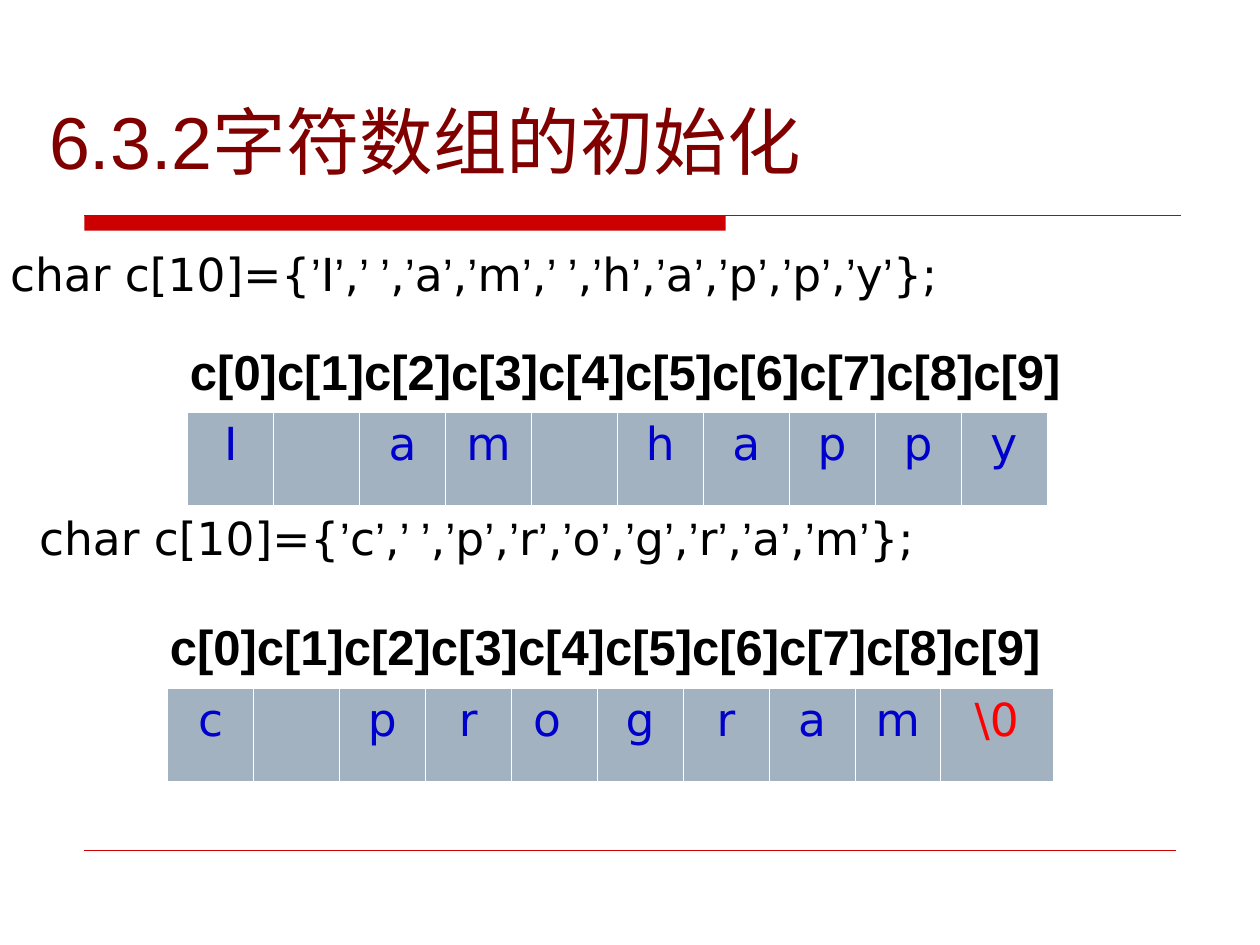
from dataclasses import dataclass
from itertools import groupby

from lxml import etree
from pptx import Presentation
from pptx.dml.color import RGBColor
from pptx.enum.shapes import MSO_CONNECTOR, MSO_SHAPE
from pptx.enum.text import MSO_ANCHOR, MSO_AUTO_SIZE, PP_ALIGN
from pptx.oxml.ns import qn
from pptx.util import Inches, Pt

COLORS = {
    "rule": "CC0000",
    "title": "800000",
    "text": "000000",
    "cell": "A3B2C1",
    "border": "FFFFFF",
    "letter": "0000CC",
    "terminator": "FF0000",
}
LATIN_FONT = "Arial"
CODE_FONT = "DejaVu Sans"
LEFT, CENTER = PP_ALIGN.LEFT, PP_ALIGN.CENTER
TOP, MIDDLE = MSO_ANCHOR.TOP, MSO_ANCHOR.MIDDLE
NO_AUTOFIT = MSO_AUTO_SIZE.NONE
STRAIGHT = MSO_CONNECTOR.STRAIGHT
RECTANGLE = MSO_SHAPE.RECTANGLE
CELL_WIDTH = 0.682
CELL_HEIGHT = 0.75
BORDERS = {"a:lnL": 0.45, "a:lnR": 0.45, "a:lnT": 0.45, "a:lnB": 1.47}
TERMINATOR = "\\0"


@dataclass
class CharacterArray:
    letters: list[str]
    left: float
    top: float
    last_width: float
    heading_left: float
    heading_top: float


@dataclass
class Declaration:
    values: str
    indent: float
    space_before: float


ARRAYS = [
    CharacterArray(["I", "", "a", "m", "", "h", "a", "p", "p", "y"],
                   1.49, 3.27, CELL_WIDTH, 1.41, 2.66),
    CharacterArray(["c", "", "p", "r", "o ", "g", "r", "a", "m", TERMINATOR],
                   1.33, 5.46, 0.89, 1.25, 4.84),
]
DECLARATIONS = [
    Declaration("I am happy", 0, 0),
    Declaration("c program", 0.23, 120),
]


def rgb(name: str) -> RGBColor:
    return RGBColor.from_string(COLORS[name])


def format_run(run, size: float, font: str, color: str, bold: bool = False) -> None:
    run.font.size = Pt(size)
    run.font.name = font
    run.font.color.rgb = rgb(color)
    run.font.bold = bold


def place(shape, left: float, top: float, width: float, height: float) -> None:
    shape.left, shape.top = Inches(left), Inches(top)
    shape.width, shape.height = Inches(width), Inches(height)


def add_rule(slide, left: float, right: float, y: float, weight: float) -> None:
    rule = slide.shapes.add_connector(
        STRAIGHT, Inches(left), Inches(y), Inches(right), Inches(y))
    rule.line.color.rgb = rgb("rule")
    rule.line.width = Pt(weight)
    etree.SubElement(rule._element.spPr, qn("a:effectLst"))


def add_title_bar(slide) -> None:
    bar = slide.shapes.add_shape(
        RECTANGLE, Inches(0.67), Inches(1.71), Inches(5.09), Inches(0.12))
    bar.shadow.inherit = False
    bar.fill.solid()
    bar.fill.fore_color.rgb = rgb("rule")
    bar.line.fill.background()


def fill_title(title) -> None:
    place(title, 0.31, 0.71, 9.45, 0.8)
    frame = title.text_frame
    frame.text = "6.3.2字符数组的初始化"
    frame.auto_size = NO_AUTOFIT
    frame.vertical_anchor = MIDDLE
    frame.margin_left = Inches(0.08)
    paragraph = frame.paragraphs[0]
    paragraph.alignment = LEFT
    format_run(paragraph.runs[0], 42, LATIN_FONT, "title")


def write_declaration(paragraph, declaration: Declaration) -> None:
    paragraph.text = "char c[10]={"
    paragraph.alignment = LEFT
    paragraph.space_before = Pt(declaration.space_before)
    properties = paragraph._p.get_or_add_pPr()
    properties.set("marL", str(Inches(declaration.indent)))
    properties.set("indent", "0")
    etree.SubElement(properties, qn("a:buNone"))
    values = ",".join(f"’{letter}’" for letter in declaration.values)
    for _, characters in groupby(values + "};", lambda character: character in "’ "):
        paragraph.add_run().text = "".join(characters)
    for run in paragraph.runs:
        font = LATIN_FONT if run.text.startswith("’") else CODE_FONT
        format_run(run, 26, font, "text")


def fill_body(body) -> None:
    place(body, 0, 1.87, 10, 3.05)
    frame = body.text_frame
    frame.auto_size = NO_AUTOFIT
    frame.vertical_anchor = TOP
    frame.margin_left = frame.margin_top = Inches(0.08)
    for index, declaration in enumerate(DECLARATIONS):
        paragraph = frame.add_paragraph() if index else frame.paragraphs[0]
        write_declaration(paragraph, declaration)


def add_heading(slide, array: CharacterArray) -> None:
    heading = slide.shapes.add_textbox(
        Inches(array.heading_left), Inches(array.heading_top), Inches(7.34), Inches(0.57))
    frame = heading.text_frame
    frame.word_wrap = True
    frame.text = "".join(f"c[{index}]" for index in range(len(array.letters)))
    format_run(frame.paragraphs[0].runs[0], 28, LATIN_FONT, "text", bold=True)


def format_cell(cell, letter: str) -> None:
    cell.text = letter
    paragraph = cell.text_frame.paragraphs[0]
    paragraph.alignment = CENTER
    for run in paragraph.runs:
        color = "terminator" if letter == TERMINATOR else "letter"
        format_run(run, 26, CODE_FONT, color)
    properties = cell._tc.get_or_add_tcPr()
    for tag, weight in BORDERS.items():
        line = etree.SubElement(properties, qn(tag), w=str(Pt(weight)))
        fill = etree.SubElement(line, qn("a:solidFill"))
        etree.SubElement(fill, qn("a:srgbClr"), val=COLORS["border"])
    cell.fill.solid()
    cell.fill.fore_color.rgb = rgb("cell")


def add_array_table(slide, array: CharacterArray) -> None:
    count = len(array.letters)
    widths = [CELL_WIDTH] * (count - 1) + [array.last_width]
    table = slide.shapes.add_table(
        1, count, Inches(array.left), Inches(array.top),
        Inches(sum(widths)), Inches(CELL_HEIGHT)).table
    table.first_row = table.horz_banding = False
    for index, (letter, width) in enumerate(zip(array.letters, widths)):
        table.columns[index].width = Inches(width)
        format_cell(table.cell(0, index), letter)


def main() -> None:
    presentation = Presentation()
    presentation.slide_width, presentation.slide_height = Inches(10), Inches(7.5)
    slide = presentation.slides.add_slide(presentation.slide_layouts[1])
    add_title_bar(slide)
    add_rule(slide, 0.67, 9.37, 1.71, 0.75)
    add_rule(slide, 0.67, 9.33, 6.75, 0.25)
    fill_title(slide.shapes.title)
    fill_body(slide.placeholders[1])
    for array in ARRAYS:
        add_array_table(slide, array)
        add_heading(slide, array)
    presentation.save("out.pptx")


if __name__ == "__main__":
    main()
